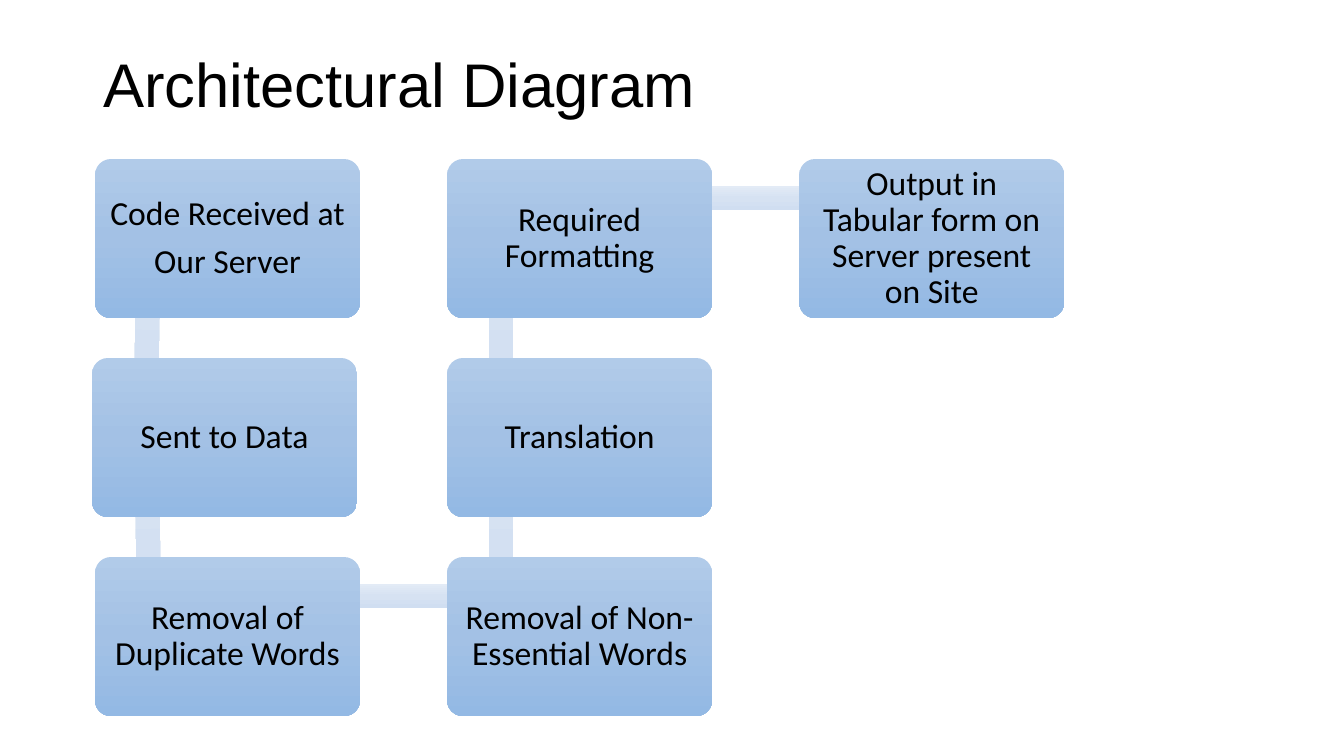
from copy import deepcopy

from pptx import Presentation
from pptx.dml.color import RGBColor
from pptx.enum.shapes import MSO_SHAPE
from pptx.enum.text import MSO_ANCHOR, MSO_AUTO_SIZE, PP_ALIGN
from pptx.oxml.ns import qn
from pptx.util import Emu, Inches, Pt

RECT, ROUND = MSO_SHAPE.RECTANGLE, MSO_SHAPE.ROUNDED_RECTANGLE
LEFT, CENTER = PP_ALIGN.LEFT, PP_ALIGN.CENTER
MIDDLE, FIXED = MSO_ANCHOR.MIDDLE, MSO_AUTO_SIZE.NONE

SCALE = Inches(1) / 100.8
COLORS = {
    "text": "000000",
    "box": ("B1CBE9", "A3C1E5", "93B9E4"),
    "bar": ("E3EBF6", "D6E2F2", "D0DEF1"),
}


def px(n):
    return Emu(round(n * SCALE))


def write(frame, text, size=24, font="Calibri", align=CENTER, after=0):
    frame.word_wrap = True
    frame.auto_size = FIXED
    frame.vertical_anchor = MIDDLE
    frame.margin_left = frame.margin_right = px(10)
    frame.text = text
    for para in frame.paragraphs:
        para.alignment = align
        para.line_spacing = 0.9
        para.space_before, para.space_after = Pt(0), Pt(after)
        for run in para.runs:
            run.font.size = Pt(size)
            run.font.name = font
            run.font.color.rgb = RGBColor.from_string(COLORS["text"])


class Deck:
    def __init__(self):
        self.file = Presentation()
        self.file.slide_width = Inches(13.33)
        self.file.slide_height = Inches(7.5)
        self.slide = self.file.slides.add_slide(self.file.slide_layouts[5])

    def title(self, text, x, y, w, h):
        head = self.slide.shapes.title
        head.left, head.top, head.width, head.height = map(px, (x, y, w, h))
        write(head.text_frame, text, size=44, font="Arial", align=LEFT)

    def shape(self, kind, x, y, w, h, tones):
        item = self.slide.shapes.add_shape(kind, *map(px, (x, y, w, h)))
        item.shadow.inherit = False
        item.line.fill.background()
        # Vertical gradient with evenly spaced stops
        item.fill.gradient()
        item.fill.gradient_angle = 270
        stops = item._element.spPr.find(".//" + qn("a:gsLst"))
        stops.append(deepcopy(stops[-1]))
        for i, stop in enumerate(item.fill.gradient_stops):
            stop.position = i / 2
            stop.color.rgb = RGBColor.from_string(COLORS[tones][i])
        return item

    def box(self, text, x, y, w, h):
        item = self.shape(ROUND, x, y, w, h, "box")
        item.adjustments[0] = 0.1
        write(item.text_frame, text, after=8.4)

    def bar(self, x, y, w, h, tilt=0):
        self.shape(RECT, x, y, w, h, "bar").rotation = tilt


deck = Deck()
deck.title("Architectural Diagram", 93, 15, 1159, 146)

# Grid of steps
X, Y, W, H = 95, 159, 265, 159
COL, ROW = 352, 199
BAR = 24

# Steps in flow order: text, column, row, nudge to the right
STEPS = [
    ("Code Received at\nOur Server", 0, 0, 0),
    ("Sent to Data", 0, 1, -3),
    ("Removal of Duplicate Words", 0, 2, 0),
    ("Removal of Non-Essential Words", 1, 2, 0),
    ("Translation", 1, 1, 0),
    ("Required Formatting", 1, 0, 0),
    ("Output in Tabular form on Server present on Site", 2, 0, 0),
]

# Bars that link each step to the next, behind the boxes
for (_, c, r, dx), (_, c2, r2, dx2) in zip(STEPS, STEPS[1:]):
    x, y = X + 54 + COL * c, Y + 27 + ROW * r
    if c2 > c:
        deck.bar(x, y, COL, BAR)
    else:
        top = Y + 39 + ROW * min(r, r2)
        deck.bar(x - BAR / 2 + (dx + dx2) / 2, top, BAR, ROW - 1,
                 tilt=(dx - dx2) * 0.22)

# Step boxes
for text, c, r, dx in STEPS:
    deck.box(text, X + COL * c + dx, Y + ROW * r, W, H)

deck.file.save("out.pptx")
